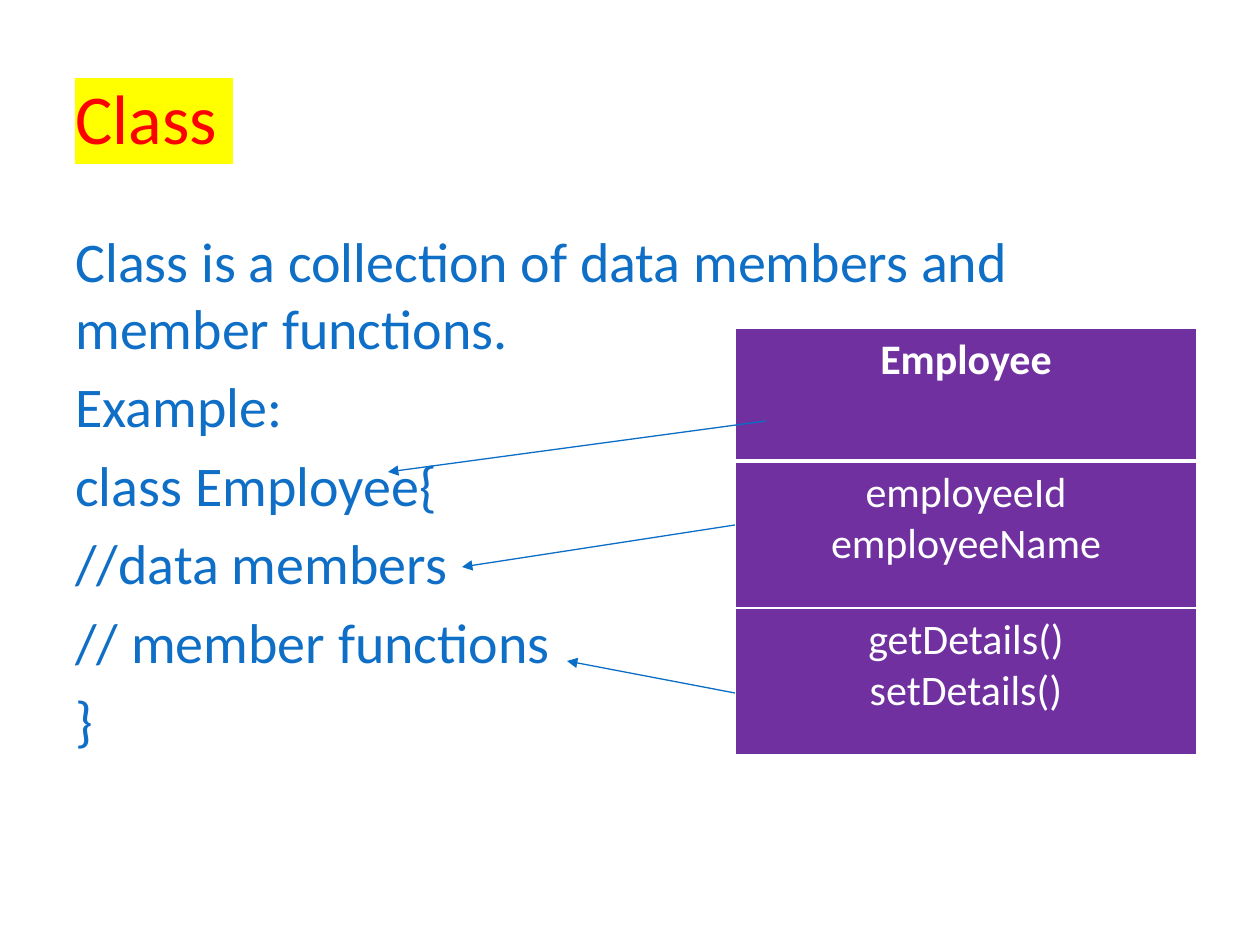
"""Build a slide that explains a class with an Employee example."""
from lxml import etree
from pptx import Presentation
from pptx.dml.color import RGBColor
from pptx.enum.shapes import MSO_CONNECTOR
from pptx.enum.text import MSO_ANCHOR, PP_ALIGN
from pptx.oxml.ns import qn
from pptx.util import Pt

STRAIGHT = MSO_CONNECTOR.STRAIGHT
TOP, MIDDLE = MSO_ANCHOR.TOP, MSO_ANCHOR.MIDDLE
LEFT, CENTER = PP_ALIGN.LEFT, PP_ALIGN.CENTER

THEME = {
    "font": "Calibri",
    "title": {"size": 40, "color": "FF0000"},
    "body": {"size": 32, "color": "0F6FC6"},
    "header": {"size": 24, "color": "FFFFFF", "bold": True},
    "cell": {"size": 24, "color": "FFFFFF"},
    "highlight": "FFFF00", "fill": "7030A0", "border": "FFFFFF", "arrow": "0A6DC6",
}
SLIDE = (1260, 945)
TITLE = ["Class "]
TITLE_BOX = (63, 38, 1134, 158)
BODY = [
    "Class is a collection of data members and member functions.",
    "Example:",
    "class Employee{",
    "//data members",
    "// member functions",
    "}",
]
BODY_BOX = (63, 220, 1134, 624)
TABLE_AT, TABLE_WIDTH = (735, 328), 462
ROWS = [
    (133, "header", ["Employee"]),
    (147, "cell", ["employeeId", "employeeName"]),
    (147, "cell", ["getDetails()", "setDetails()"]),
]
ARROWS = [(766, 421, 388, 472), (735, 525, 462, 567), (735, 693, 567, 661)]


def px(*lengths):
    return [round(n * 914400 / 126) for n in lengths]


def sub(parent, tag, **attrs):
    return etree.SubElement(parent, qn(tag), attrs)


def write(tf, lines, style, align=LEFT, before=0):
    look = THEME[style]
    for i, line in enumerate(lines):
        p = tf.paragraphs[0] if i == 0 else tf.add_paragraph()
        p.alignment, p.space_before = align, Pt(before)
        r = p.add_run()
        r.text = line
        font = {"name": THEME["font"], "size": Pt(look["size"]), "bold": look.get("bold", False)}
        for name, value in font.items():
            setattr(r.font, name, value)
        r.font.color.rgb = RGBColor.from_string(look["color"])


def add_text(s, box, lines, style, anchor=TOP, before=0):
    tf = s.shapes.add_textbox(*px(*box)).text_frame
    tf.word_wrap, tf.vertical_anchor = True, anchor
    write(tf, lines, style, before=before)
    return tf


def highlight(r, color):
    mark = etree.Element(qn("a:highlight"))
    sub(mark, "a:srgbClr", val=color)
    r.font.fill._xPr.find(qn("a:solidFill")).addnext(mark)


def set_borders(cell, widths):
    tcPr = cell._tc.get_or_add_tcPr()
    for i, (side, width) in enumerate(widths.items()):
        ln = etree.Element(qn(f"a:ln{side}"), w=str(Pt(width)))
        sub(sub(ln, "a:solidFill"), "a:srgbClr", val=THEME["border"])
        tcPr.insert(i, ln)


def add_class_table(s):
    height = sum(row[0] for row in ROWS)
    table = s.shapes.add_table(len(ROWS), 1, *px(*TABLE_AT, TABLE_WIDTH, height)).table
    for i, (row_height, style, lines) in enumerate(ROWS):
        table.rows[i].height = px(row_height)[0]
        cell = table.cell(i, 0)
        write(cell.text_frame, lines, style, CENTER)
        cell.fill.solid()
        cell.fill.fore_color.rgb = RGBColor.from_string(THEME["fill"])
        set_borders(cell, {"L": 1, "R": 1, "T": 3 if i == 1 else 1, "B": 3 if i == 0 else 1})


def add_arrow(s, ends):
    line = s.shapes.add_connector(STRAIGHT, *px(*ends))
    line.line.width = Pt(0.75)
    line.line.color.rgb = RGBColor.from_string(THEME["arrow"])
    sub(line.line._get_or_add_ln(), "a:tailEnd", type="triangle")
    sub(line._element.spPr, "a:effectLst")


def main():
    prs = Presentation()
    prs.slide_width, prs.slide_height = px(*SLIDE)
    s = prs.slides.add_slide(prs.slide_layouts[6])
    tf = add_text(s, TITLE_BOX, TITLE, "title", MIDDLE)
    highlight(tf.paragraphs[0].runs[0], THEME["highlight"])
    add_text(s, BODY_BOX, BODY, "body", before=THEME["body"]["size"] * 0.2)
    add_class_table(s)
    for ends in ARROWS:
        add_arrow(s, ends)
    prs.save("out.pptx")


if __name__ == "__main__":
    main()
